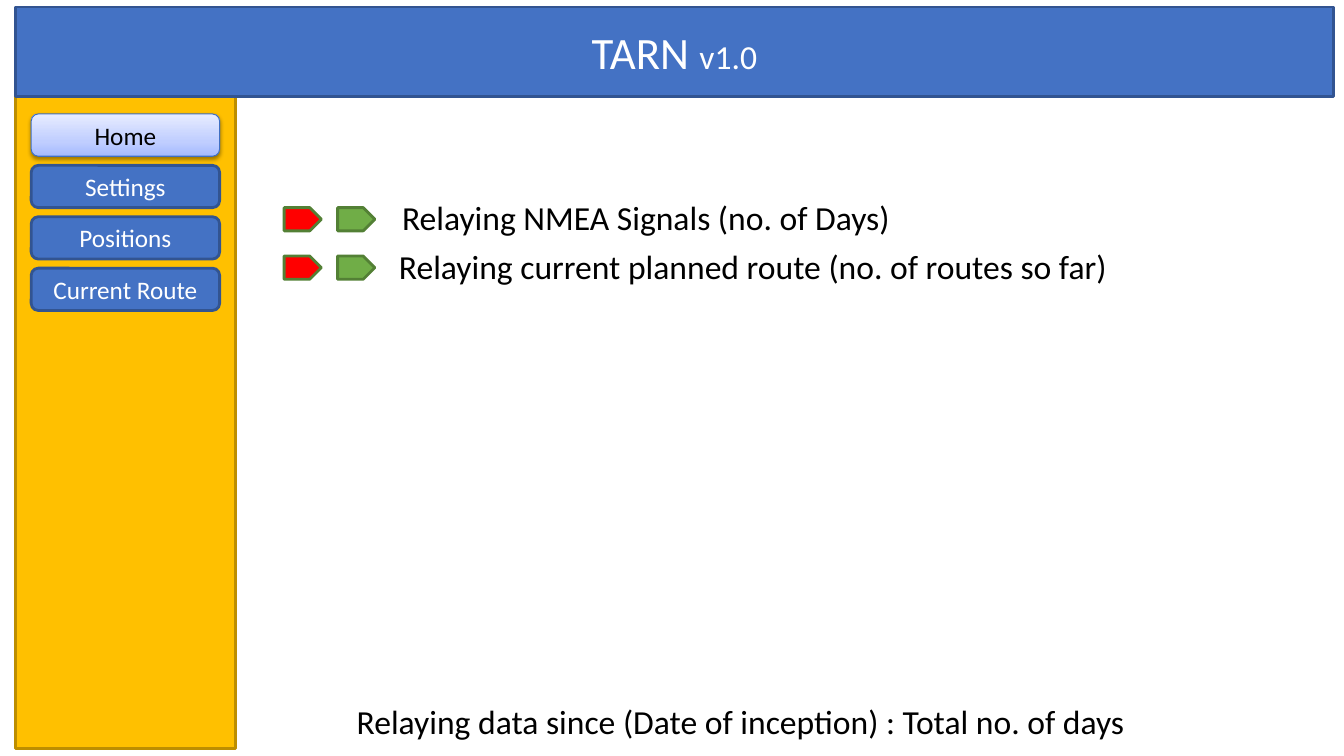
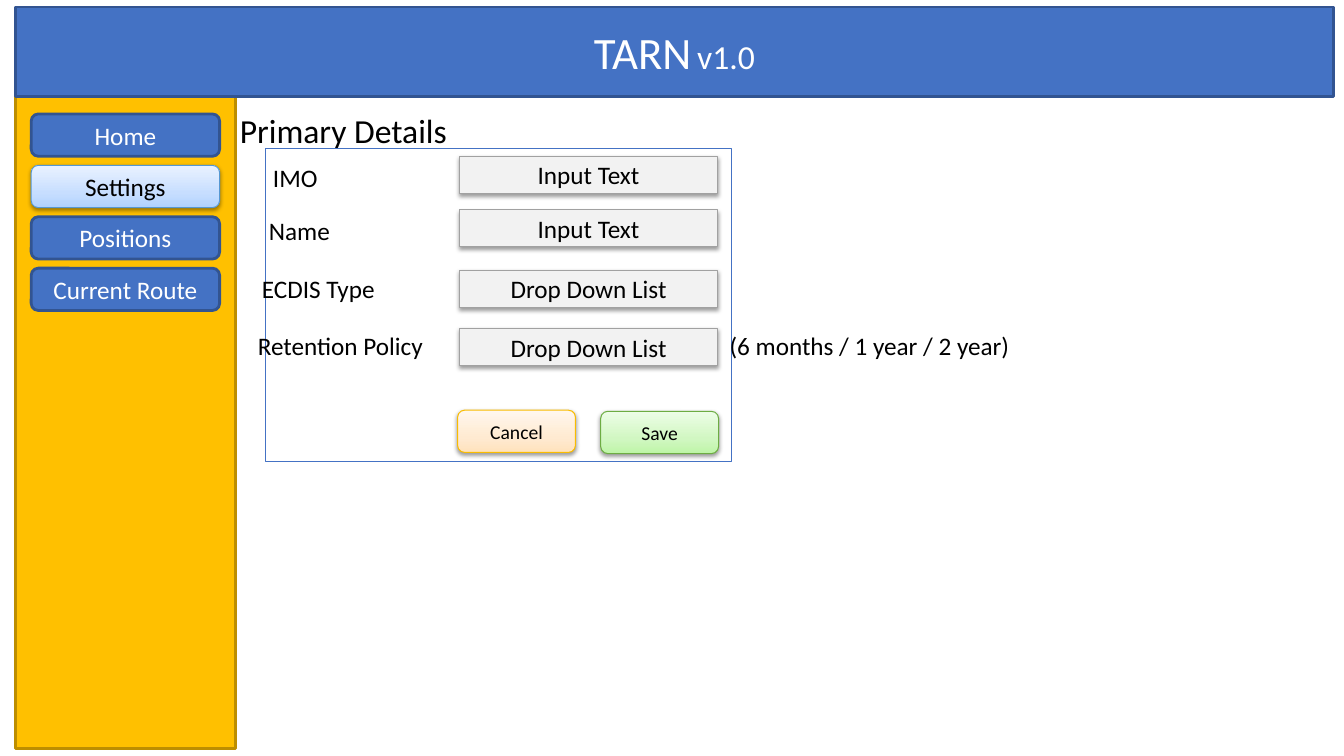
"""Build the two TARN v1.0 screen mock-ups: Home and Settings."""
from dataclasses import dataclass

from lxml import etree
from pptx import Presentation
from pptx import util as u
from pptx.dml import color
from pptx.enum import shapes, text
from pptx.oxml import ns


@dataclass(frozen=True)
class Theme:
    font: str = "Calibri"
    ink: str = "000000"
    paper: str = "FFFFFF"
    blue: str = "4472C4"
    blue_edge: str = "325491"
    amber: str = "FFC000"
    amber_edge: str = "BD8E00"
    red: str = "FF0000"
    green: str = "70AD47"
    green_edge: str = "538035"
    field: str = "F2F2F2"
    field_edge: str = "A1A1A1"
    title: int = 32
    heading: int = 24
    body: int = 18
    button: int = 14
    thick: float = 2
    thin: float = 0.75


THEME = Theme()
KIND = shapes.MSO_SHAPE
LEFT, CENTER = text.PP_ALIGN.LEFT, text.PP_ALIGN.CENTER
TOP, MIDDLE = text.MSO_ANCHOR.TOP, text.MSO_ANCHOR.MIDDLE

MENU = ["Home", "Settings", "Positions", "Current Route"]
TITLES = {
    "Home": [("TARN ", THEME.title), ("v1.0", THEME.heading)],
    "Settings": [("TARN", THEME.title), (" ", THEME.body), ("v1.0", THEME.heading)],
}
ACTIVE = {
    "Home": (("A6BBFF", "C0CEFF", "E7ECFF"), "3F6FC3"),
    "Settings": (("B0D2FF", "C7DEFF", "EAF2FF"), "5698D3"),
}
STATUS = [
    ("Relaying NMEA Signals (no. of Days)", 280.1, 136.8),
    ("Relaying current planned route (no. of routes so far)", 277.9, 172.1),
]
SUMMARY = "Relaying data since (Date of inception) : Total no. of days"
FIELDS = [
    ("IMO", 187.9, 112.3, "Input Text", 111.6),
    ("Name", 185, 150.5, "Input Text", 149.8),
    ("ECDIS Type", 180, 191.5, "Drop Down List", 193),
    ("Retention Policy", 177.1, 232.6, "Drop Down List", 234.7),
]
RETENTION_HINT = "(6 months / 1 year / 2 year)"
BUTTONS = [
    ("Cancel", 326.9, 293, ("FFE2BD", "FFEAD1", "FFF7EE"), "F9BC00"),
    ("Save", 429.1, 293.8, ("BEF5A7", "D1F7C2", "EDFDE7"), "6DAC43"),
]

BAND = (10.8, 5, 941.8, 64.1)
SIDEBAR = (10.8, 69.1, 157.7, 465.8)
FORM = (189.4, 105.8, 333.4, 223.9)
MENU_LEFT, MENU_TOP, MENU_STEP, MENU_SIZE = 22.3, 81.4, 36.72, (134.6, 30.2)
FLAG_TOP, FLAG_STEP, FLAG_SIZE = 148.3, 34.6, (26.6, 16.6)
FLAGS = [(203, THEME.red), (241.2, THEME.green)]
FIELD_LEFT, FIELD_SIZE = 328.3, (184.3, 26.6)
BUTTON_SIZE = (84.2, 30.2)


def rgb(value):
    """Turn a hex string into a colour."""
    return color.RGBColor.from_string(value)


def node(parent, tag, **attributes):
    """Add a DrawingML child element."""
    child = etree.SubElement(parent, ns.qn("a:" + tag))
    for name, value in attributes.items():
        child.set(name, str(value))
    return child


def write(box, words, *, size=THEME.body, ink=THEME.ink, align=LEFT, anchor=TOP):
    """Write a string, or a list of (string, size) spans, into a box."""
    frame = box.text_frame
    frame.word_wrap = True
    frame.auto_size = text.MSO_AUTO_SIZE.NONE
    frame.vertical_anchor = anchor
    para = frame.paragraphs[0]
    para.alignment = align
    for part, points in [(words, size)] if isinstance(words, str) else words:
        span = para.add_run()
        span.text = part
        span.font.name = THEME.font
        span.font.size = u.Pt(points)
        span.font.color.rgb = rgb(ink)


def paint(box, fill, edge, width):
    """Give a box a flat, graded or empty fill and an outline."""
    if fill is None:
        box.fill.background()
    elif isinstance(fill, str):
        box.fill.solid()
        box.fill.fore_color.rgb = rgb(fill)
    else:
        box.fill.gradient()
        box.fill.gradient_angle = 90
        stops = next(box.element.iter(ns.qn("a:gsLst")))
        for stop in list(stops):
            stops.remove(stop)
        for position, shade in zip((0, 35000, 100000), fill):
            node(node(stops, "gs", pos=position), "srgbClr", val=shade)
    box.line.color.rgb = rgb(edge)
    box.line.width = u.Pt(width)


def add_box(page, kind, place, fill, edge, width=THEME.thick, raised=False):
    """Add a painted preset shape, raised by a soft shadow if asked."""
    box = page.shapes.add_shape(kind, *map(u.Pt, place))
    box.shadow.inherit = False
    paint(box, fill, edge, width)
    if raised:
        effects = next(box.element.iter(ns.qn("a:effectLst")))
        shadow = node(effects, "outerShdw", blurRad=u.Pt(3.1), dist=u.Pt(1.6),
                      dir=5400000, rotWithShape=0)
        node(node(shadow, "srgbClr", val=THEME.ink), "alpha", val=38000)
    return box


def add_control(page, kind, place, words, fill, edge, size=THEME.body):
    """Add a raised control with a centred caption."""
    box = add_box(page, kind, place, fill, edge, THEME.thin, raised=True)
    write(box, words, size=size, align=CENTER, anchor=MIDDLE)


def add_label(page, words, left, top, width, size=THEME.body):
    """Add a one-line label."""
    box = page.shapes.add_textbox(*map(u.Pt, (left, top, width, size * 1.6)))
    write(box, words, size=size)


def add_page(deck, name):
    """Add a page with the title band, the sidebar and its menu."""
    page = deck.slides.add_slide(deck.slide_layouts[5])
    add_box(page, KIND.RECTANGLE, SIDEBAR, THEME.amber, THEME.amber_edge)
    title = page.shapes.title
    title.left, title.top, title.width, title.height = map(u.Pt, BAND)
    paint(title, THEME.blue, THEME.blue_edge, THEME.thick)
    write(title, TITLES[name], ink=THEME.paper, align=CENTER, anchor=MIDDLE)
    page.shapes.element.append(title.element)
    for row, entry in enumerate(MENU):
        place = (MENU_LEFT, MENU_TOP + row * MENU_STEP, *MENU_SIZE)
        if entry == name:
            add_control(page, KIND.ROUNDED_RECTANGLE, place, entry, *ACTIVE[name])
        else:
            box = add_box(page, KIND.ROUNDED_RECTANGLE, place, THEME.blue, THEME.blue_edge)
            write(box, entry, ink=THEME.paper, align=CENTER, anchor=MIDDLE)
    return page


def add_home(deck):
    """Add the Home screen with its relay status lines."""
    page = add_page(deck, "Home")
    for row, (words, left, top) in enumerate(STATUS):
        for flag_left, fill in FLAGS:
            place = (flag_left, FLAG_TOP + row * FLAG_STEP, *FLAG_SIZE)
            add_box(page, KIND.PENTAGON, place, fill, THEME.green_edge)
        add_label(page, words, left, top, 640, THEME.heading)
    add_label(page, SUMMARY, 247.7, 496.8, 702, THEME.heading)


def add_settings(deck):
    """Add the Settings screen with its form."""
    page = add_page(deck, "Settings")
    add_label(page, "Primary Details", 164.2, 74.9, 198, THEME.heading)
    add_box(page, KIND.RECTANGLE, FORM, None, THEME.blue, THEME.thin)
    for name, left, top, value, field_top in FIELDS:
        add_label(page, name, left, top, 150)
        add_control(page, KIND.RECTANGLE, (FIELD_LEFT, field_top, *FIELD_SIZE),
                    value, THEME.field, THEME.field_edge)
    add_label(page, RETENTION_HINT, 514.1, 232.6, 269)
    for name, left, top, fill, edge in BUTTONS:
        add_control(page, KIND.ROUNDED_RECTANGLE, (left, top, *BUTTON_SIZE),
                    name, fill, edge, THEME.button)


def main():
    """Build and save the deck."""
    deck = Presentation()
    deck.slide_width, deck.slide_height = u.Pt(960), u.Pt(540)
    add_home(deck)
    add_settings(deck)
    deck.save("out.pptx")


main()
